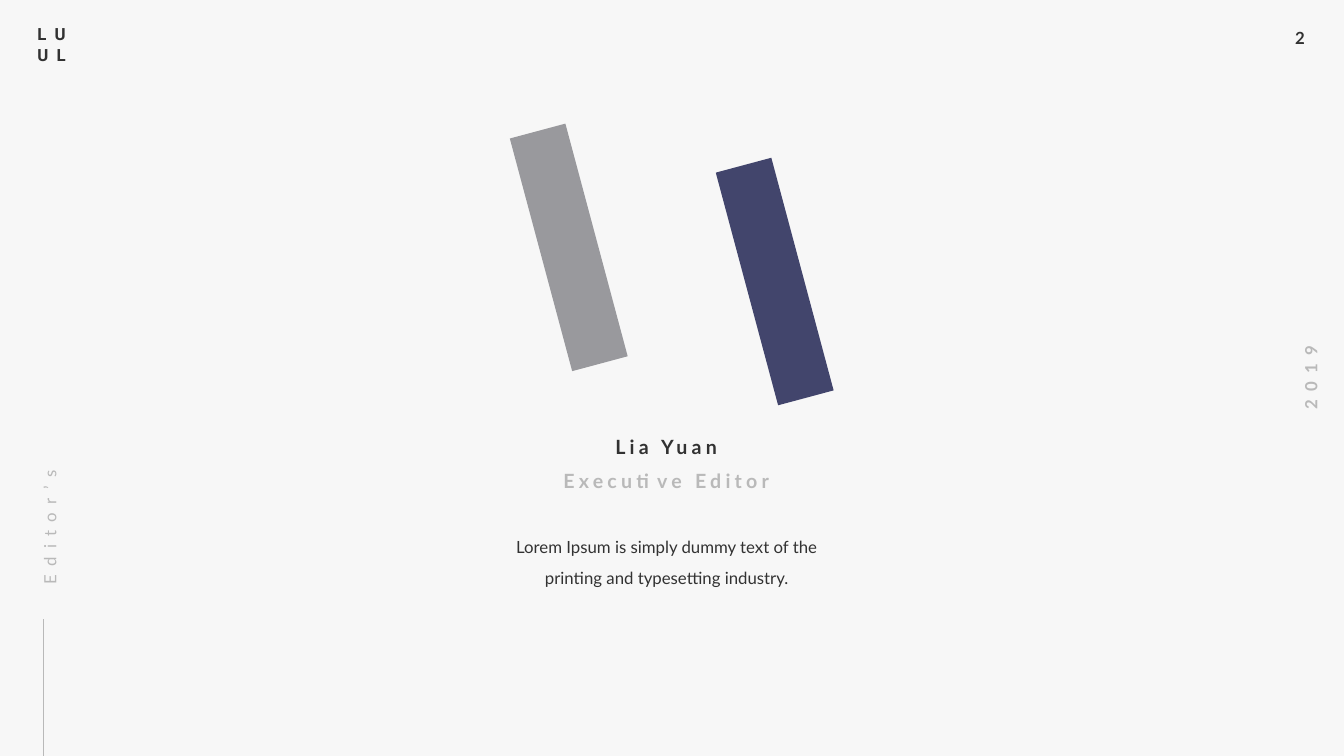
from pptx import Presentation
from pptx.dml.color import RGBColor
from pptx.enum.shapes import MSO_CONNECTOR, MSO_SHAPE
from pptx.enum.text import MSO_ANCHOR, MSO_AUTO_SIZE, PP_ALIGN
from pptx.oxml.ns import qn
from pptx.util import Cm, Pt
from lxml import etree

RECT = MSO_SHAPE.RECTANGLE
LINE = MSO_CONNECTOR.STRAIGHT
TOP = MSO_ANCHOR.TOP
FIXED = MSO_AUTO_SIZE.NONE
LEFT, MID = PP_ALIGN.LEFT, PP_ALIGN.CENTER

DARK, PALE, PAPER = "323232", "B9B9B9", "F7F7F7"
NAVY, GREY = "42456C", "99999D"
TIGHT = (0, 0, 0.25, 0)
LOOSE = (0.25, 0.13, 0.25, 0.13)


def paint(target, color):
    """Set a solid fill from a hex string."""
    target.solid()
    target.fore_color.rgb = RGBColor.from_string(color)


def write(shape, text, font="Lato", size=12, color=DARK, bold=False,
          track=0, align=LEFT, lead=1.0, inset=TIGHT):
    """Fill a shape with formatted text, one paragraph per line."""
    frame = shape.text_frame
    frame.word_wrap = True
    frame.auto_size = FIXED
    frame.vertical_anchor = TOP
    (frame.margin_left, frame.margin_top,
     frame.margin_right, frame.margin_bottom) = map(Cm, inset)
    frame.text = text
    for para in frame.paragraphs:
        para.alignment = align
        para.line_spacing = lead
        para.space_before = Pt(0)
        for run in para.runs:
            run.font.name = font
            run.font.size = Pt(size)
            run.font.bold = bold
            run.font.color.rgb = RGBColor.from_string(color)
            if track:
                run.font._element.set("spc", str(track * 100))


def label(slide, box, text, turn=0, **form):
    """Add a text box, turned by the given degrees."""
    shape = slide.shapes.add_textbox(*map(Cm, box))
    shape.rotation = turn
    write(shape, text, **form)


def title(slide, box, text, **form):
    """Move the title placeholder and write in it."""
    shape = slide.shapes.title
    shape.left, shape.top, shape.width, shape.height = map(Cm, box)
    write(shape, text, **form)


def bar(slide, left, top, color):
    """Add one slanted bar."""
    shape = slide.shapes.add_shape(RECT, Cm(left), Cm(top), Cm(1.45), Cm(6.07))
    shape.rotation = 345
    shape.shadow.inherit = False
    paint(shape.fill, color)
    shape.line.fill.background()


def rule(slide, left, top, end):
    """Add a thin upright line."""
    line = slide.shapes.add_connector(LINE, Cm(left), Cm(end), Cm(left), Cm(top))
    line.line.width = Pt(0.5)
    paint(line.line.fill, PALE)
    etree.SubElement(line._element.spPr, qn("a:effectLst"))


def main():
    """Build the editor slide and save it."""
    deck = Presentation()
    deck.slide_width, deck.slide_height = Cm(33.87), Cm(19.05)
    slide = deck.slides.add_slide(deck.slide_layouts[5])
    paint(slide.background.fill, PAPER)

    label(slide, (32.39, 0.56, 1.04, 0.76), "2", bold=True, inset=LOOSE)
    label(slide, (31.85, 9.14, 2.36, 0.76), "2019", turn=270, color=PALE,
          bold=True, track=6, align=MID, inset=LOOSE)
    label(slide, (0.69, 0.48, 1.5, 1.27), "LU\nUL", font="Roboto",
          bold=True, track=6, inset=LOOSE)

    bar(slide, 18.8, 4.06, NAVY)
    bar(slide, 13.61, 3.2, GREY)

    rule(slide, 1.09, 15.6, 19.05)
    label(slide, (-0.79, 12.5, 3.76, 0.69), "Editor’s", turn=270,
          color=PALE, track=6, lead=1.5)

    head = {"size": 14, "bold": True, "track": 3, "align": MID}
    title(slide, (13.03, 10.97, 7.77, 0.61), "Lia Yuan", **head)
    label(slide, (13.03, 11.81, 7.77, 0.61), "Executive Editor",
          color=PALE, **head)
    label(slide, (12.8, 13.28, 8.26, 1.45),
          "Lorem Ipsum is simply dummy text of the printing and "
          "typesetting industry.", align=MID, lead=1.5)
    deck.save("out.pptx")


if __name__ == "__main__":
    main()
